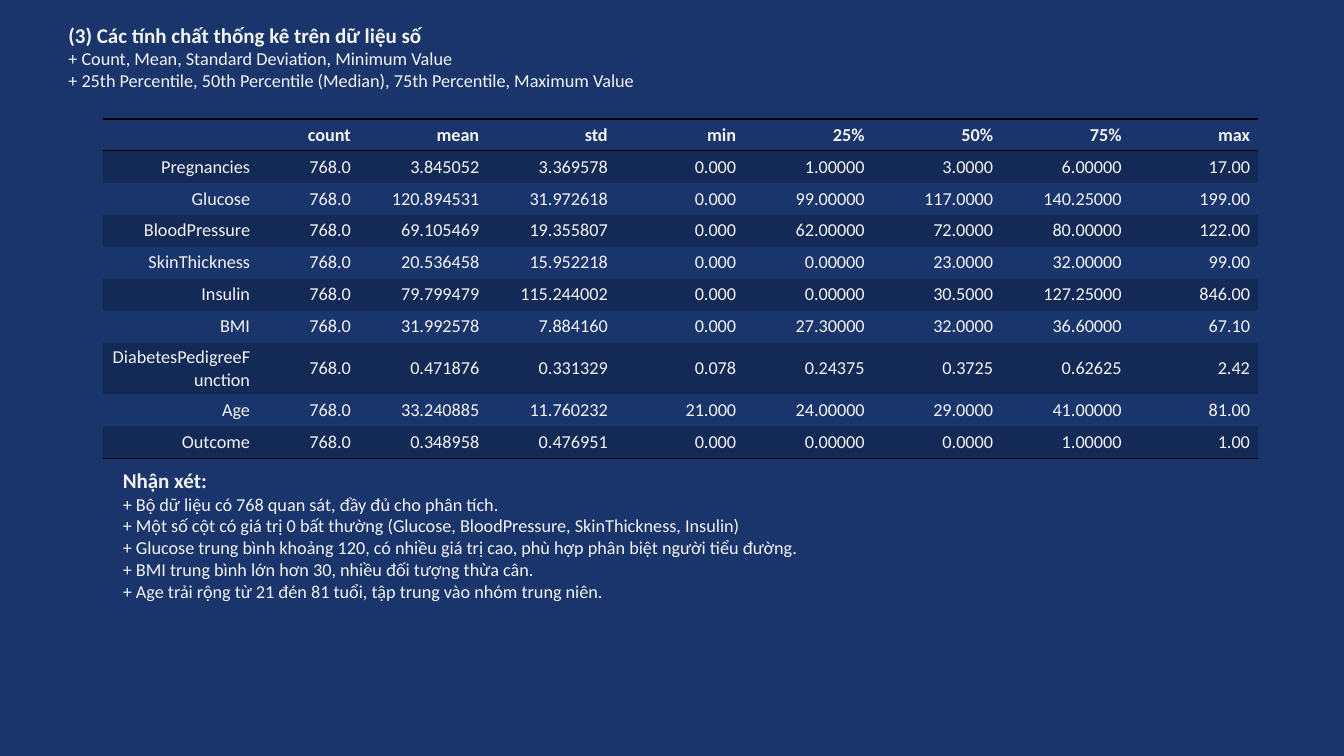
from dataclasses import dataclass
from typing import Any

from lxml.etree import SubElement
from pptx import Presentation
from pptx.dml.color import RGBColor
from pptx.enum.text import MSO_ANCHOR, MSO_AUTO_SIZE, PP_ALIGN
from pptx.oxml.ns import qn
from pptx.util import Emu, Inches, Pt

WIDE, HIGH = Inches(13.33), Inches(7.5)
HEX = {"back": "1A356C", "text": "F2F2F2", "line": "000000", "band": "000000"}
NO_STYLE = "{2D5ABB26-0587-4C30-8999-92F81FD0307C}"

# Format values
HEAD = {"name": "Calibri", "size": Pt(15), "bold": True}
BODY = {"name": "Calibri", "size": Pt(13), "bold": False}
LABEL = {**BODY, "bold": True}
FRAME = {"word_wrap": True, "auto_size": MSO_AUTO_SIZE.SHAPE_TO_FIT_TEXT}
CELL = {
    "margin_left": Inches(0.08), "margin_right": Inches(0.08),
    "margin_top": Inches(0.04), "margin_bottom": Inches(0.04),
    "vertical_anchor": MSO_ANCHOR.MIDDLE,
}
PLAIN = {"first_row": False, "horz_banding": False}


@dataclass
class Area:
    """A box in percent of the slide's width and height."""
    left: float
    top: float
    width: float
    height: float

    def place(self) -> tuple[Emu, Emu, Emu, Emu]:
        return across(self.left), down(self.top), across(self.width), down(self.height)


@dataclass
class Note:
    area: Area
    title: str
    lines: list[str]


NOTES = [
    Note(Area(4.35, 2.27, 92.5, 13.47), "(3) Các tính chất thống kê trên dữ liệu số", [
        "+ Count, Mean, Standard Deviation, Minimum Value",
        "+ 25th Percentile, 50th Percentile (Median), 75th Percentile, Maximum Value",
    ]),
    Note(Area(8.4, 61.2, 83.1, 19.33), "Nhận xét:", [
        "+ Bộ dữ liệu có 768 quan sát, đầy đủ cho phân tích.",
        "+ Một số cột có giá trị 0 bất thường (Glucose, BloodPressure, SkinThickness, Insulin)",
        "+ Glucose trung bình khoảng 120, có nhiều giá trị cao, phù hợp phân biệt người tiểu đường.",
        "+ BMI trung bình lớn hơn 30, nhiều đối tượng thừa cân.",
        "+ Age trải rộng từ 21 đén 81 tuổi, tập trung vào nhóm trung niên.",
    ]),
]

# Table grid, in percent of the slide
GRID = Area(7.65, 15.73, 85.97, 45.07)
COLS = [11.55, 7.5] + [9.56] * 7
ROW, TALL = 4.23, 6.13
STATS = [
    ["", "count", "mean", "std", "min", "25%", "50%", "75%", "max"],
    ["Pregnancies", "768.0", "3.845052", "3.369578", "0.000", "1.00000", "3.0000", "6.00000", "17.00"],
    ["Glucose", "768.0", "120.894531", "31.972618", "0.000", "99.00000", "117.0000", "140.25000", "199.00"],
    ["BloodPressure", "768.0", "69.105469", "19.355807", "0.000", "62.00000", "72.0000", "80.00000", "122.00"],
    ["SkinThickness", "768.0", "20.536458", "15.952218", "0.000", "0.00000", "23.0000", "32.00000", "99.00"],
    ["Insulin", "768.0", "79.799479", "115.244002", "0.000", "0.00000", "30.5000", "127.25000", "846.00"],
    ["BMI", "768.0", "31.992578", "7.884160", "0.000", "27.30000", "32.0000", "36.60000", "67.10"],
    ["DiabetesPedigreeFunction", "768.0", "0.471876", "0.331329", "0.078", "0.24375", "0.3725", "0.62625", "2.42"],
    ["Age", "768.0", "33.240885", "11.760232", "21.000", "24.00000", "29.0000", "41.00000", "81.00"],
    ["Outcome", "768.0", "0.348958", "0.476951", "0.000", "0.00000", "0.0000", "1.00000", "1.00"],
]


def across(share: float) -> Emu:
    return Emu(round(WIDE * share / 100))


def down(share: float) -> Emu:
    return Emu(round(HIGH * share / 100))


def apply(item: Any, form: dict[str, Any]) -> None:
    for name, value in form.items():
        setattr(item, name, value)


def write(para: Any, text: str, form: dict[str, Any]) -> None:
    if not text:
        # Keeps a blank cell at the row's text size
        SubElement(para._p, qn("a:endParaRPr"), sz=str(round(form["size"].pt * 100)))
        return
    run = para.add_run()
    run.text = text
    apply(run.font, form)
    run.font.color.rgb = RGBColor.from_string(HEX["text"])


def draw_note(slide: Any, note: Note) -> None:
    frame = slide.shapes.add_textbox(*note.area.place()).text_frame
    apply(frame, FRAME)
    write(frame.paragraphs[0], note.title, HEAD)
    for line in note.lines:
        write(frame.add_paragraph(), line, BODY)


def rule(cell: Any, edge: str) -> None:
    line = SubElement(cell._tc.get_or_add_tcPr(), qn(f"a:{edge}"), w=str(Pt(1)))
    SubElement(SubElement(line, qn("a:solidFill")), qn("a:srgbClr"), val=HEX["line"])


def shade(cell: Any, band: bool) -> None:
    if not band:
        cell.fill.background()
        return
    cell.fill.solid()
    cell.fill.fore_color.rgb = RGBColor.from_string(HEX["band"])
    tone = cell._tc.tcPr.find(qn("a:solidFill")).find(qn("a:srgbClr"))
    SubElement(tone, qn("a:alpha"), val="20000")


def draw_table(slide: Any) -> None:
    table = slide.shapes.add_table(len(STATS), len(COLS), *GRID.place()).table
    apply(table, PLAIN)
    table._tbl.tblPr.find(qn("a:tableStyleId")).text = NO_STYLE
    for col, share in zip(table.columns, COLS):
        col.width = across(share)
    for r, stat in enumerate(STATS):
        table.rows[r].height = down(TALL if stat[0] == "DiabetesPedigreeFunction" else ROW)
        for c, text in enumerate(stat):
            cell = table.cell(r, c)
            apply(cell, CELL)
            para = cell.text_frame.paragraphs[0]
            para.alignment = PP_ALIGN.RIGHT
            write(para, text, BODY if r else LABEL)
            # Lines go before the fill in the cell's XML
            if r == 0:
                rule(cell, "lnT")
            if r in (0, len(STATS) - 1):
                rule(cell, "lnB")
            shade(cell, r % 2 == 1)


def main() -> None:
    deck = Presentation()
    apply(deck, {"slide_width": WIDE, "slide_height": HIGH})
    slide = deck.slides.add_slide(deck.slide_layouts[6])
    fill = slide.background.fill
    fill.solid()
    fill.fore_color.rgb = RGBColor.from_string(HEX["back"])

    # Heading, table and remarks
    top, base = NOTES
    draw_note(slide, top)
    draw_table(slide)
    draw_note(slide, base)
    deck.save("out.pptx")


if __name__ == "__main__":
    main()
